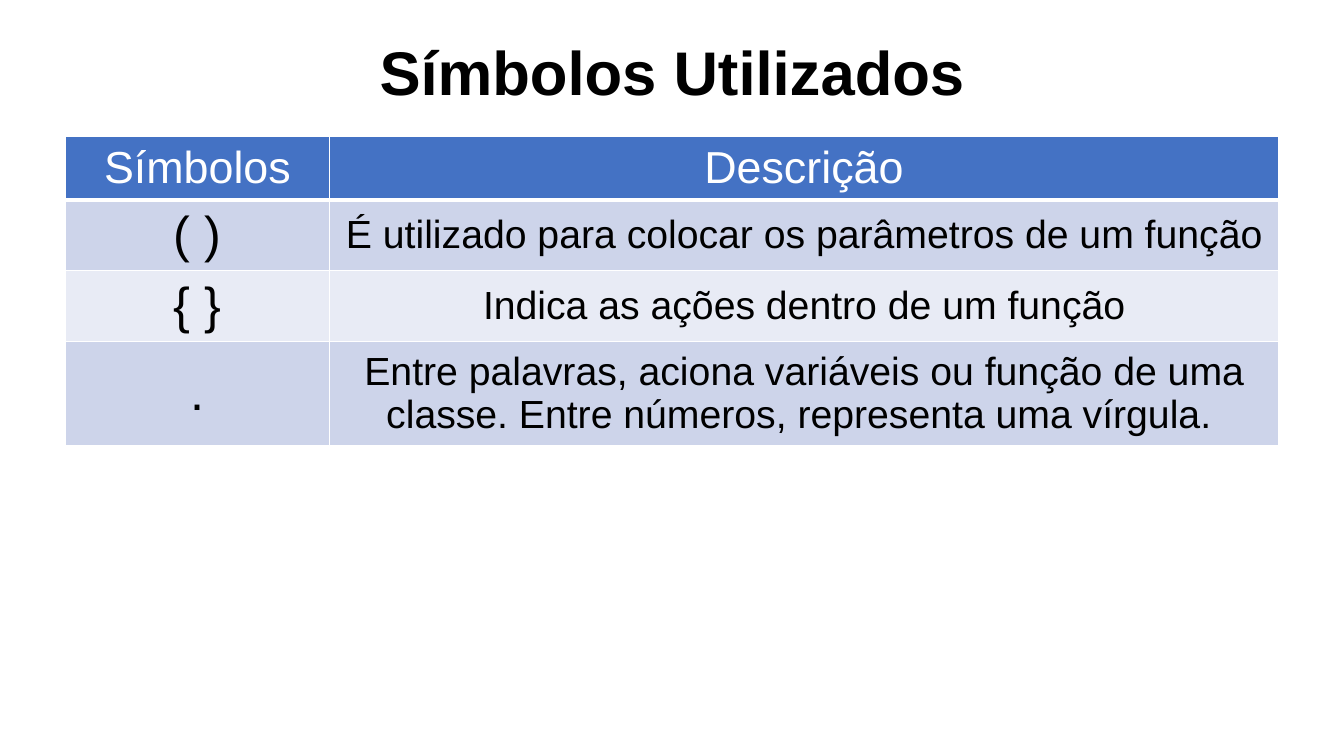
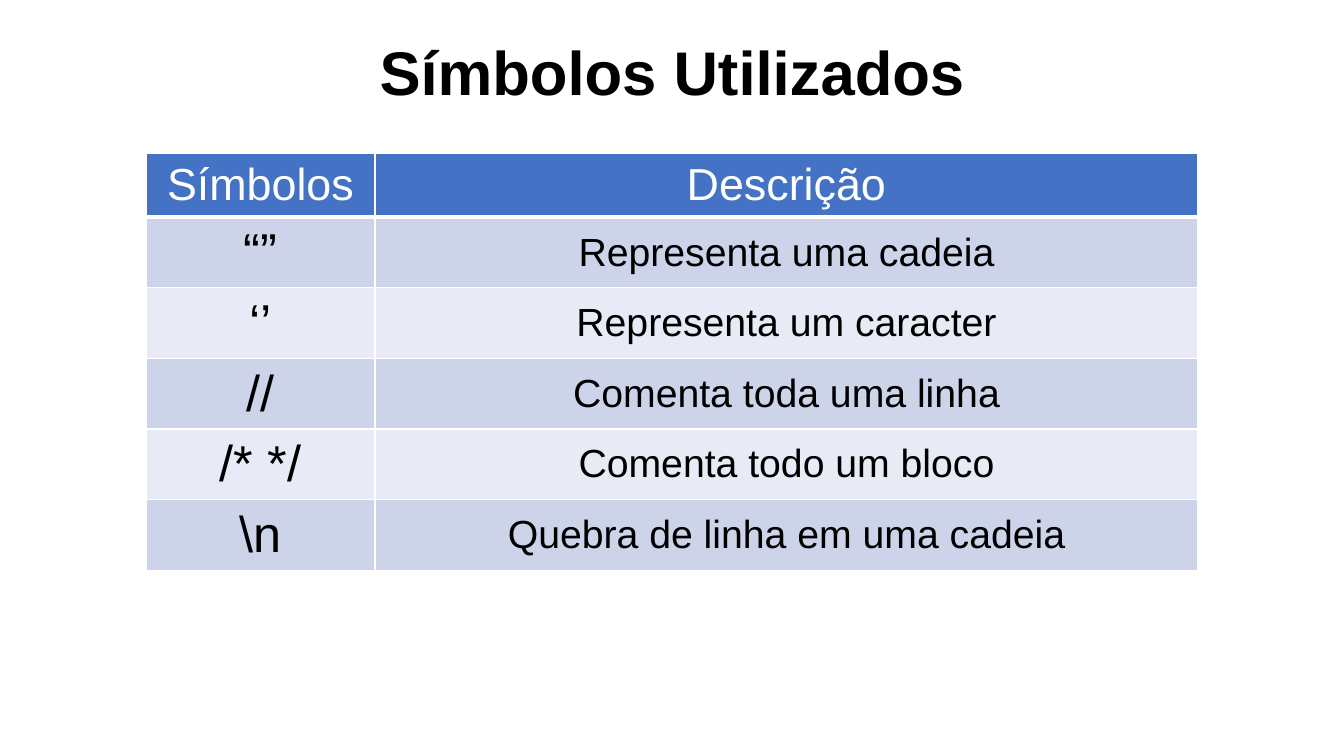
from dataclasses import dataclass

import pptx
import pptx.dml.color
import pptx.enum.text
import pptx.oxml.ns
import pptx.util
from lxml import etree

Inches = pptx.util.Inches
Pt = pptx.util.Pt


@dataclass(frozen=True)
class Theme:
    font: str = "Arial"
    ink: str = "000000"
    paper: str = "FFFFFF"
    header: str = "4472C4"
    bands: tuple = ("CDD4EA", "E8EBF5")
    title_size: int = 44
    header_size: int = 32
    symbol_size: int = 36
    description_size: int = 28
    rule: int = 1
    header_rule: int = 3


THEME = Theme()
TITLE = "Símbolos Utilizados"
TITLE_BOX = (0.92, 0.02, 11.5, 1.45)
HEADINGS = ("Símbolos", "Descrição")
HEADER_HEIGHT = 0.56
ROW_HEIGHT = 0.58

# Each table: left and top, column widths, rows of symbol and description
TABLES = (
    ((0.65, 1.35), (2.62, 9.41), (
        ("( )", "É utilizado para colocar os parâmetros de um função"),
        ("{ }", "Indica as ações dentro de um função"),
        (".", "Entre palavras, aciona variáveis ou função de uma classe. "
              "Entre números, representa uma vírgula. "),
    )),
    ((1.45, 1.52), (2.27, 8.16), (
        ("“”", "Representa uma cadeia"),
        ("‘’", "Representa um caracter"),
        ("//", "Comenta toda uma linha"),
        ("/* */", "Comenta todo um bloco"),
        ("\\n", "Quebra de linha em uma cadeia"),
    )),
)


def rgb(value):
    return pptx.dml.color.RGBColor.from_string(value)


def write_centred(text_frame, text, size, color, bold=False):
    text_frame.text = text
    paragraph = text_frame.paragraphs[0]
    paragraph.alignment = pptx.enum.text.PP_ALIGN.CENTER
    paragraph.font.name = THEME.font
    paragraph.font.size = Pt(size)
    paragraph.font.bold = bold
    paragraph.font.color.rgb = rgb(color)
    return paragraph


def add_title(slide, text, box):
    text_frame = slide.shapes.add_textbox(*map(Inches, box)).text_frame
    text_frame.word_wrap = True
    text_frame.vertical_anchor = pptx.enum.text.MSO_ANCHOR.MIDDLE
    paragraph = write_centred(text_frame, text, THEME.title_size, THEME.ink, bold=True)
    paragraph.line_spacing = 0.9


def set_borders(cell, top, bottom):
    """Draw white borders; call before the fill, which must follow them in the XML."""
    qn = pptx.oxml.ns.qn
    properties = cell._tc.get_or_add_tcPr()
    widths = {"a:lnL": THEME.rule, "a:lnR": THEME.rule, "a:lnT": top, "a:lnB": bottom}
    for side, width in widths.items():
        line = etree.SubElement(properties, qn(side), w=str(Pt(width)))
        fill = etree.SubElement(line, qn("a:solidFill"))
        etree.SubElement(fill, qn("a:srgbClr"), val=THEME.paper)


def style_cell(cell, row_index, text, size):
    is_header = row_index == 0
    set_borders(
        cell,
        top=THEME.header_rule if row_index == 1 else THEME.rule,
        bottom=THEME.header_rule if is_header else THEME.rule,
    )
    band = THEME.bands[(row_index - 1) % len(THEME.bands)]
    cell.fill.solid()
    cell.fill.fore_color.rgb = rgb(THEME.header if is_header else band)
    cell.vertical_anchor = pptx.enum.text.MSO_ANCHOR.MIDDLE
    write_centred(cell.text_frame, text, size, THEME.paper if is_header else THEME.ink)


def add_symbol_table(slide, position, column_widths, entries):
    rows = (HEADINGS, *entries)
    height = HEADER_HEIGHT + ROW_HEIGHT * len(entries)
    table = slide.shapes.add_table(
        len(rows), len(column_widths),
        *map(Inches, (*position, sum(column_widths), height)),
    ).table
    for column, width in zip(table.columns, column_widths):
        column.width = Inches(width)
    for row_index, texts in enumerate(rows):
        is_header = row_index == 0
        table.rows[row_index].height = Inches(HEADER_HEIGHT if is_header else ROW_HEIGHT)
        sizes = ((THEME.header_size,) * 2 if is_header
                 else (THEME.symbol_size, THEME.description_size))
        for column_index, (text, size) in enumerate(zip(texts, sizes)):
            style_cell(table.cell(row_index, column_index), row_index, text, size)


def add_symbol_slide(presentation, position, column_widths, entries):
    slide = presentation.slides.add_slide(presentation.slide_layouts[6])
    add_title(slide, TITLE, TITLE_BOX)
    add_symbol_table(slide, position, column_widths, entries)


def main():
    presentation = pptx.Presentation()
    presentation.slide_width = Inches(13.33)
    presentation.slide_height = Inches(7.5)
    for position, column_widths, entries in TABLES:
        add_symbol_slide(presentation, position, column_widths, entries)
    presentation.save("out.pptx")


if __name__ == "__main__":
    main()
